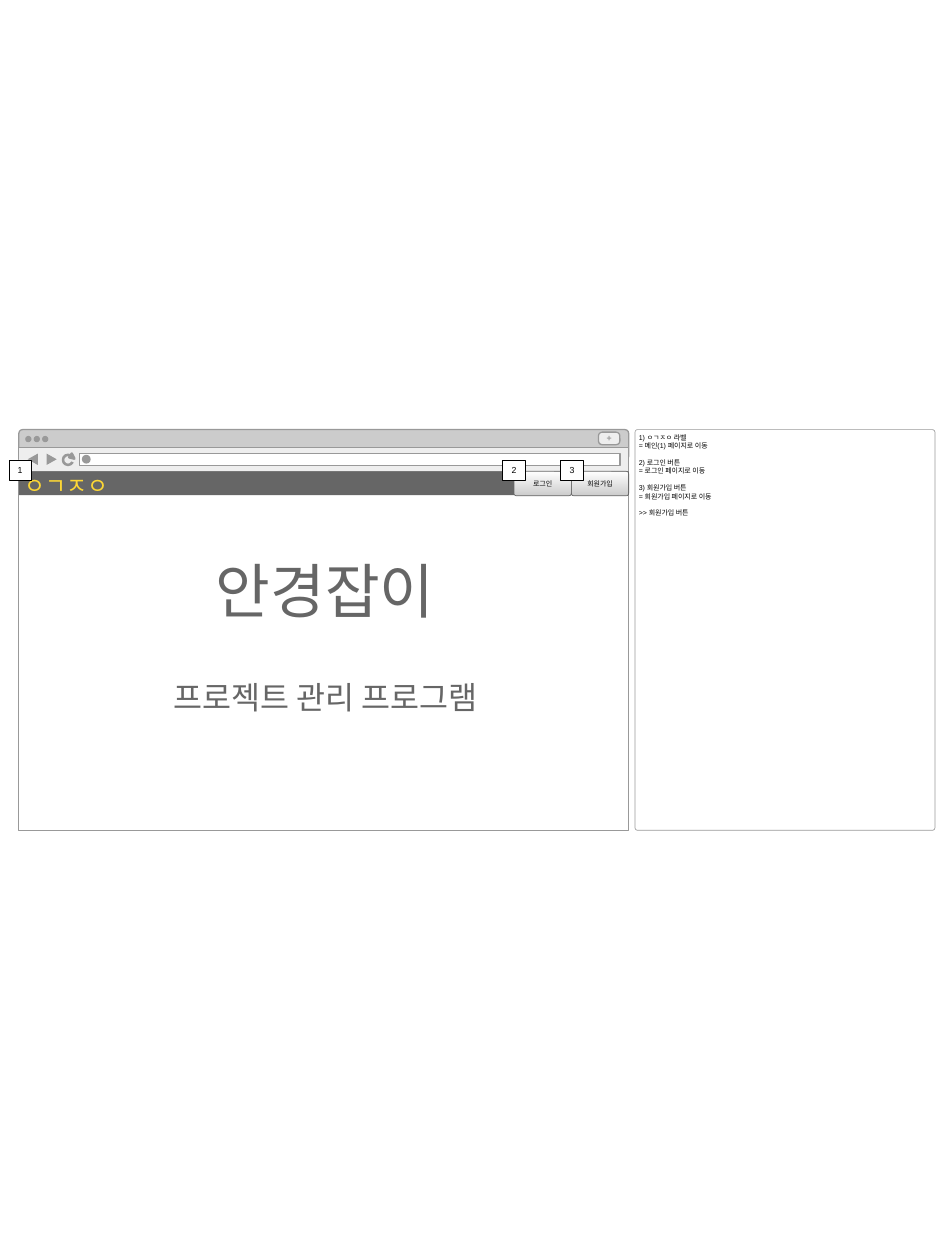
from dataclasses import dataclass

from pptx import Presentation
from pptx.dml.color import RGBColor
from pptx.enum.shapes import MSO_SHAPE
from pptx.enum.text import MSO_ANCHOR, MSO_AUTO_SIZE, PP_ALIGN
from pptx.util import Inches, Pt


@dataclass(frozen=True)
class Theme:
    white: str = "FFFFFF"
    black: str = "000000"
    pale: str = "EEEEEE"
    light: str = "CCCCCC"
    mid: str = "999999"
    dark: str = "666666"
    yellow: str = "FDD735"
    body: str = "Arial"
    display: str = "Cambria"
    title_size: float = 34
    subtitle_size: float = 18
    brand_size: float = 13
    badge_size: float = 5
    small_size: float = 4
    line: float = 0.75
    thin: float = 0.37
    thick: float = 1.45


T = Theme()
LEFT, WIDTH = 0.15, 4.84
TOP, BOTTOM = 3.41, 6.59
TOOLBAR_TOP, PAGE_TOP, BAR_HEIGHT = 3.55, 3.74, 0.19
BUTTON_WIDTH = 0.455

NOTES = [
    ("1) ㅇㄱㅈㅇ 라벨", "= 메인(1) 페이지로 이동"),
    ("2) 로그인 버튼", "= 로그인 페이지로 이동"),
    ("3) 회원가입 버튼", "= 회원가입 페이지로 이동"),
    (">> 회원가입 버튼",),
]


def rgb(value):
    return RGBColor.from_string(value)


def style(sp, fill=None, line=None, weight=T.line):
    sp.shadow.inherit = False
    if fill:
        sp.fill.solid()
        sp.fill.fore_color.rgb = rgb(fill)
    else:
        sp.fill.background()
    if line:
        sp.line.color.rgb = rgb(line)
        sp.line.width = Pt(weight)
    else:
        sp.line.fill.background()
    return sp


def add_box(s, x, y, w, h, fill, line=None, weight=T.line, radius=0,
            kind=MSO_SHAPE.RECTANGLE):
    if radius:
        kind = MSO_SHAPE.ROUNDED_RECTANGLE
    sp = s.shapes.add_shape(kind, Inches(x), Inches(y), Inches(w), Inches(h))
    if radius:
        sp.adjustments[0] = radius / min(w, h)
    return style(sp, fill, line, weight)


def add_polygon(s, points, fill, line=None, weight=T.line):
    (x, y), *rest = [(Inches(px), Inches(py)) for px, py in points]
    builder = s.shapes.build_freeform(x, y, scale=1.0)
    builder.add_line_segments(rest, close=True)
    return style(builder.convert_to_shape(), fill, line, weight)


def setup_frame(sp, anchor):
    tf = sp.text_frame
    tf.margin_left = tf.margin_right = tf.margin_top = tf.margin_bottom = 0
    tf.word_wrap = True
    tf.auto_size = MSO_AUTO_SIZE.NONE
    tf.vertical_anchor = anchor
    return tf


def add_run(p, text, size, color, font=T.body, bold=False, align=PP_ALIGN.CENTER):
    p.alignment = align
    r = p.add_run()
    r.text = text
    r.font.name, r.font.size, r.font.bold = font, Pt(size), bold
    r.font.color.rgb = rgb(color)


def write(sp, text, size, color, font=T.body, bold=False, anchor=MSO_ANCHOR.MIDDLE):
    add_run(setup_frame(sp, anchor).paragraphs[0], text, size, color, font, bold)


def add_text(s, x, y, w, h, text, size, color):
    sp = s.shapes.add_textbox(Inches(x), Inches(y), Inches(w), Inches(h))
    write(sp, text, size, color, T.display, anchor=MSO_ANCHOR.TOP)


def add_browser(s):
    # Window frame and page
    add_box(s, LEFT, TOP, WIDTH, 0.24, T.light, T.mid, radius=0.03)
    add_box(s, LEFT, PAGE_TOP, WIDTH, BOTTOM - PAGE_TOP, T.white, T.mid)
    new_tab = add_box(s, 4.75, 3.43, 0.17, 0.1, T.pale, T.mid, radius=0.03)
    write(new_tab, "+", T.badge_size, T.mid, bold=True)
    for i in range(3):
        add_box(s, 0.2 + 0.067 * i, 3.46, 0.05, 0.05, T.mid, kind=MSO_SHAPE.OVAL)

    # Toolbar with back, forward, address and refresh
    add_box(s, LEFT, TOOLBAR_TOP, WIDTH, BAR_HEIGHT, T.pale, T.mid)
    for tip, base in ((0.22, 0.3), (0.45, 0.37)):
        add_polygon(s, [(tip, 3.645), (base, 3.6), (base, 3.69)], T.mid)
    add_box(s, 0.63, 3.6, 4.29, 0.095, T.white, T.mid)
    add_box(s, 0.65, 3.61, 0.07, 0.07, T.mid, kind=MSO_SHAPE.OVAL)
    arc = add_box(s, 0.5, 3.61, 0.08, 0.08, None, T.mid, T.thick, kind=MSO_SHAPE.ARC)
    for i, degrees in enumerate((25, 335)):
        arc.adjustments[i] = degrees * 0.6
    add_polygon(s, [(0.59, 3.64), (0.55, 3.63), (0.57, 3.6)], T.mid, T.mid, T.thick)


def add_title(s):
    title = s.shapes.title
    title.left, title.top = Inches(1.6), Inches(4.4)
    title.width, title.height = Inches(1.96), Inches(0.57)
    write(title, "안경잡이", T.title_size, T.dark, T.display, anchor=MSO_ANCHOR.TOP)
    # Bring the title in front of the page
    title.element.getparent().append(title.element)


def add_notes_panel(s):
    add_box(s, 5.04, TOP, 2.38, BOTTOM - TOP, T.white, T.mid, T.thin, radius=0.02)
    sp = s.shapes.add_textbox(Inches(5.07), Inches(3.44), Inches(2.33), Inches(0.67))
    tf = setup_frame(sp, MSO_ANCHOR.TOP)
    for i, group in enumerate(NOTES):
        for j, text in enumerate(group):
            first = i == j == 0
            p = tf.paragraphs[0] if first else tf.add_paragraph()
            if i and j == 0:
                p.space_before = Pt(4.8)
            add_run(p, text, T.small_size, T.black, align=PP_ALIGN.LEFT)


def add_button(s, x, text):
    sp = add_box(s, x, PAGE_TOP, BUTTON_WIDTH, 0.195, T.white, T.dark, T.thin, radius=0.02)
    sp.fill.gradient()
    sp.fill.gradient_angle = 270
    for stop, color in zip(sp.fill.gradient_stops, (T.white, T.light)):
        stop.color.rgb = rgb(color)
    write(sp, text, T.small_size, T.black)


def add_badge(s, x, number):
    sp = add_box(s, x, 3.65, 0.18, 0.16, T.white, T.black, T.thin)
    write(sp, str(number), T.badge_size, T.black)


def main():
    prs = Presentation()
    prs.slide_width, prs.slide_height = Inches(7.5), Inches(10)
    s = prs.slides.add_slide(prs.slide_layouts[5])

    add_browser(s)
    add_title(s)
    add_notes_panel(s)
    add_text(s, 1.17, 5.38, 2.82, 0.3, "프로젝트 관리 프로그램", T.subtitle_size, T.dark)

    # Site header
    add_box(s, LEFT, PAGE_TOP, WIDTH, BAR_HEIGHT, T.dark)
    add_text(s, LEFT, PAGE_TOP, 0.75, 0.22, "ㅇㄱㅈㅇ", T.brand_size, T.yellow)
    right = LEFT + WIDTH
    for i, text in enumerate(("회원가입", "로그인"), start=1):
        add_button(s, right - i * BUTTON_WIDTH, text)

    # Callout numbers
    for number, x in ((3, 4.45), (2, 3.99), (1, 0.07)):
        add_badge(s, x, number)

    prs.save("out.pptx")


if __name__ == "__main__":
    main()
